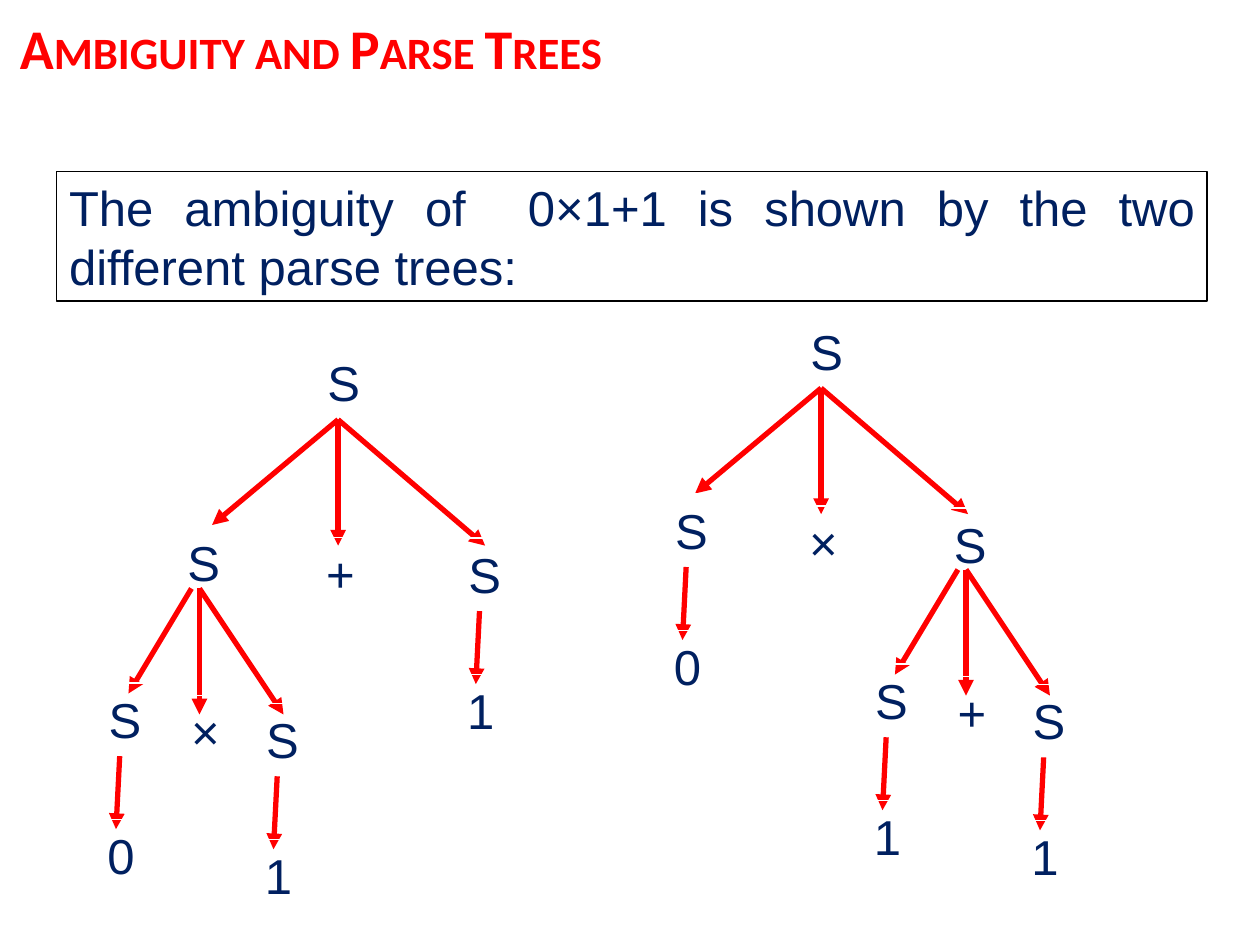
from lxml import etree
from pptx import Presentation
from pptx import util as u
from pptx.dml.color import RGBColor
from pptx.enum import shapes, text
from pptx.oxml import ns

RED = RGBColor(0xFF, 0x00, 0x00)
NAVY = RGBColor(0x00, 0x20, 0x60)
BLACK = RGBColor(0x00, 0x00, 0x00)
WHITE = RGBColor(0xFF, 0xFF, 0xFF)

SYMBOL_WIDTHS = {"S": 33.1, "+": 31, "×": 29.5, "0": 30.2, "1": 30.2}

# Fans of arrows, as (start, end) offsets from the corner of the parent symbol
ROOT_FAN = [((13.2, 41.8), (-58.8, 102)), ((13.2, 41.8), (13.2, 113.8)),
            ((13.2, 41.8), (97.2, 113.8))]
INNER_FAN = [((9.4, 35.3), (-26.6, 95.3)), ((14, 35.3), (14, 107.3)),
             ((14, 35.3), (62, 107.3))]
LEAF_ARROW = [((13.4, 41.8), (11.3, 83.5))]


class Painter:
    def __init__(self, page):
        self.page = page
        self.target = page.shapes
        self.body_font, self.body_size = "Arial", 28
        self.title_font, self.title_size = "Calibri", 32

    def style(self, para, name, size, color, bold=False):
        para.font.name, para.font.size = name, u.Pt(size)
        para.font.color.rgb, para.font.bold = color, bold

    def title(self, words, x, y, width, height):
        box = self.page.shapes.add_textbox(u.Pt(x), u.Pt(y), u.Pt(width), u.Pt(height))
        frame = box.text_frame
        frame.word_wrap = True
        frame.vertical_anchor = text.MSO_ANCHOR.MIDDLE
        para = frame.paragraphs[0]
        para.space_before = u.Pt(6)
        span = para.add_run()
        span.text = words
        self.style(para, self.title_font, self.title_size, RED, bold=True)
        span.font._element.set("cap", "small")

    def box(self, words, x, y, width, height, line, align, wrap):
        box = self.target.add_shape(shapes.MSO_SHAPE.RECTANGLE,
                                    u.Pt(x), u.Pt(y), u.Pt(width), u.Pt(height))
        box.shadow.inherit = False
        box.fill.background()
        box.line.color.rgb, box.line.width = line, u.Pt(0.75)
        frame = box.text_frame
        frame.word_wrap = wrap
        frame.auto_size = text.MSO_AUTO_SIZE.SHAPE_TO_FIT_TEXT
        frame.vertical_anchor = text.MSO_ANCHOR.TOP
        para = frame.paragraphs[0]
        para.text, para.alignment = words, align
        self.style(para, self.body_font, self.body_size, NAVY)

    def symbol(self, letter, x, y):
        self.box(letter, x, y, SYMBOL_WIDTHS[letter], 41.2, WHITE,
                 text.PP_ALIGN.LEFT, False)

    def arrows(self, x, y, fan):
        for (x1, y1), (x2, y2) in fan:
            arrow = self.target.add_connector(
                shapes.MSO_CONNECTOR.STRAIGHT,
                u.Pt(x + x1), u.Pt(y + y1), u.Pt(x + x2), u.Pt(y + y2))
            arrow.line.color.rgb, arrow.line.width = RED, u.Pt(3)
            etree.SubElement(arrow.line._get_or_add_ln(), ns.qn("a:tailEnd"),
                             type="triangle")
            etree.SubElement(arrow._element.spPr, ns.qn("a:effectLst"))

    def leaf(self, digit, x, y):
        self.symbol("S", x, y)
        self.arrows(x, y, LEAF_ARROW)
        self.symbol(digit, x - 0.7, y + 78)

    def inner(self, left, operator, right, x, y):
        self.symbol("S", x, y)
        self.arrows(x, y, INNER_FAN)
        self.symbol(operator, x + 2.2, y + 96.5)
        self.leaf(right, x + 45, y + 100.8)
        self.leaf(left, x - 45, y + 89.3)

    def tree(self, operator, x, y, inner, leaf):
        self.target = self.page.shapes.add_group_shape().shapes
        self.symbol("S", x, y)
        self.arrows(x, y, ROOT_FAN)
        self.symbol(operator, x - 0.7, y + 109.2)
        self.inner(*inner)
        self.leaf(*leaf)


def main():
    deck = Presentation()
    deck.slide_width, deck.slide_height = u.Pt(720), u.Pt(540)
    painter = Painter(deck.slides.add_slide(deck.slide_layouts[6]))

    # Heading and statement
    painter.title("Ambiguity and Parse Trees", 4.3, 0, 612, 54)
    painter.box("The ambiguity of  0×1+1 is shown by the two different parse trees:",
                32.4, 97.9, 657.4, 74.2, BLACK, text.PP_ALIGN.JUSTIFY, True)

    # Parse trees: (0×1)+1 and 0×(1+1)
    painter.tree("+", 180, 198, inner=("0", "×", "1", 100, 301),
                 leaf=("1", 260.6, 307.4))
    painter.tree("×", 456, 180, inner=("1", "+", "1", 538, 290.2),
                 leaf=("0", 378.7, 282.2))
    deck.save("out.pptx")


if __name__ == "__main__":
    main()
